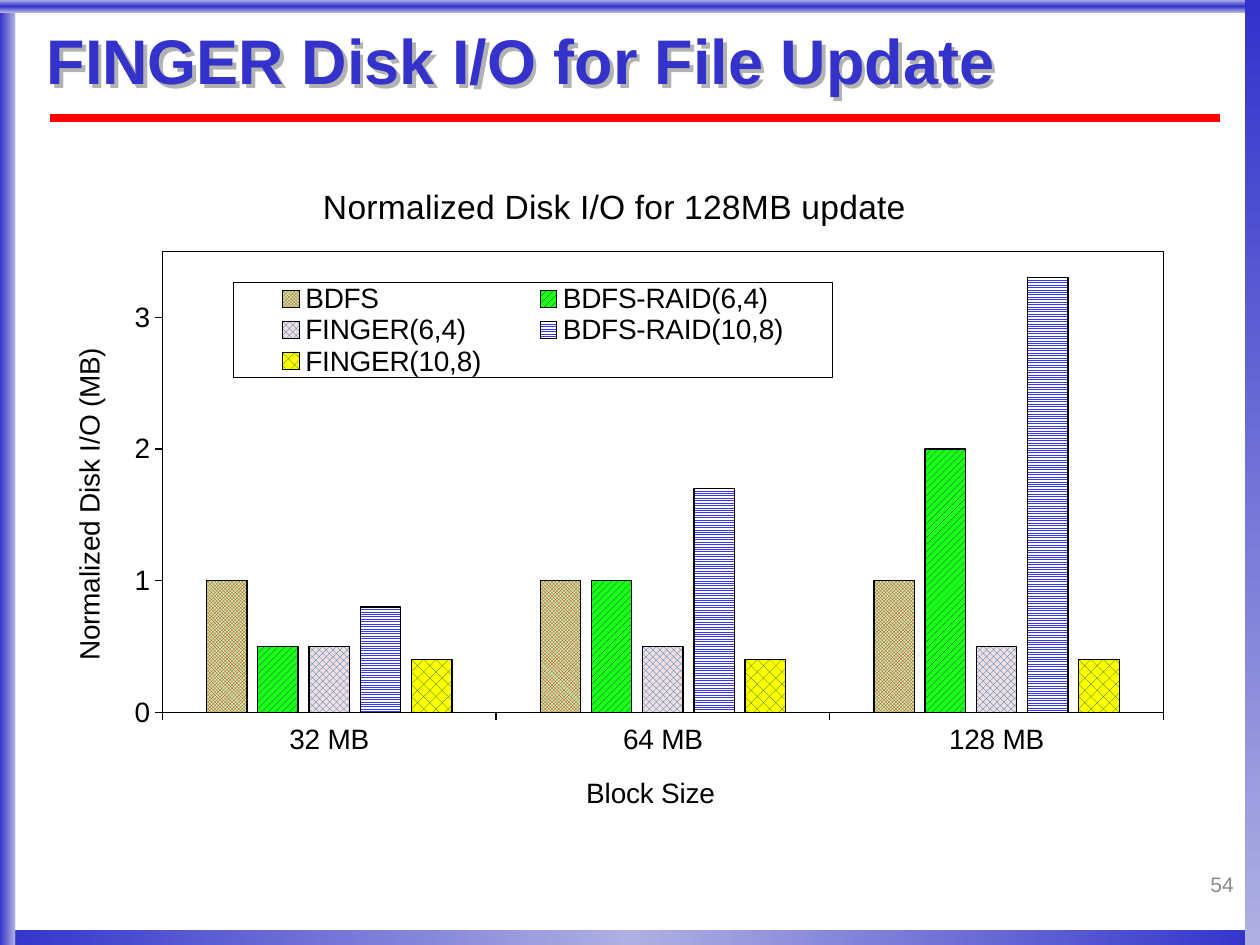
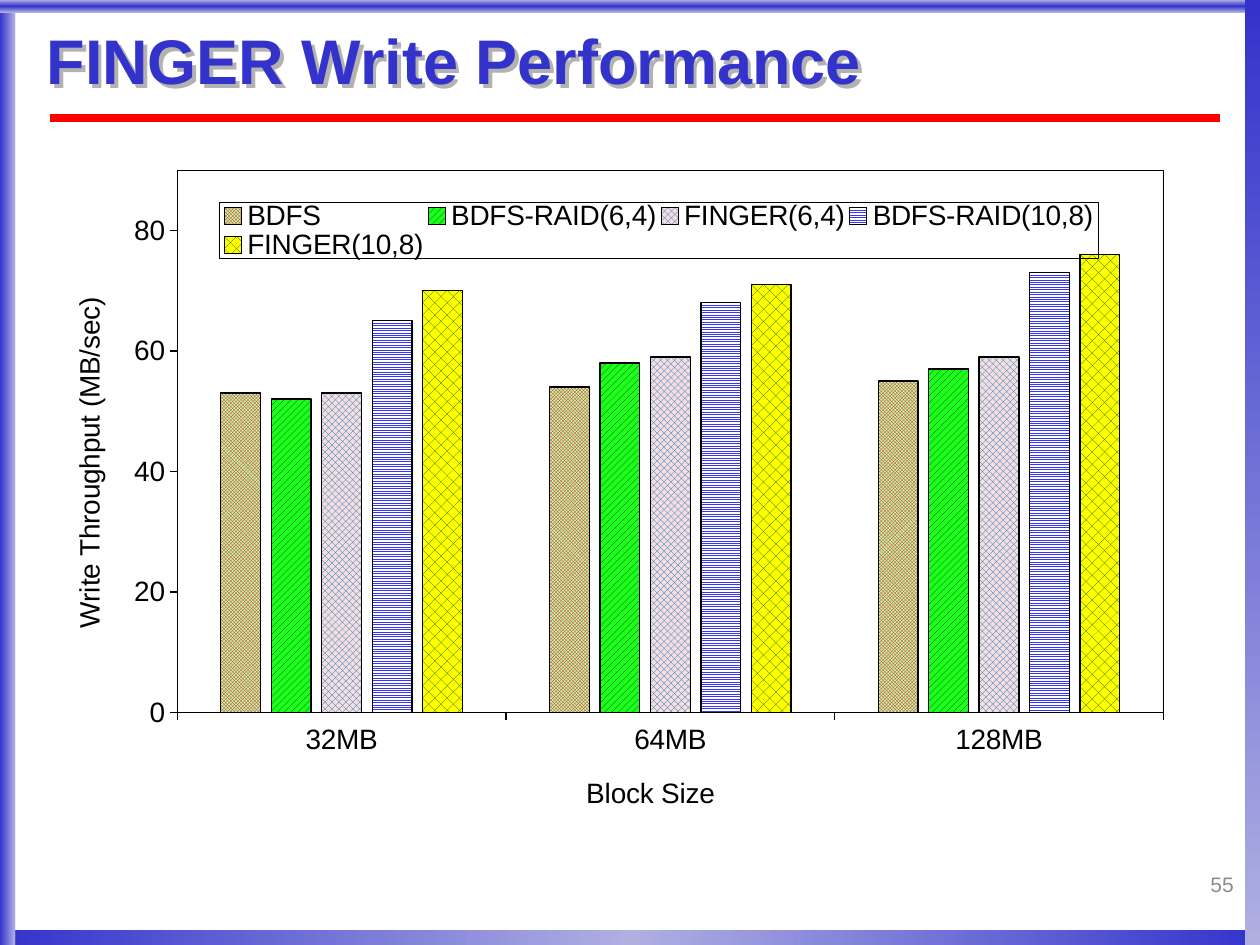
from collections import namedtuple

from pptx import Presentation
from pptx.chart.data import CategoryChartData
from pptx.dml.color import RGBColor
from pptx.enum.chart import XL_CHART_TYPE, XL_LEGEND_POSITION, XL_TICK_MARK
from pptx.enum.dml import MSO_PATTERN
from pptx.enum.shapes import MSO_CONNECTOR, MSO_SHAPE
from pptx.enum.text import MSO_ANCHOR, MSO_AUTO_SIZE, PP_ALIGN
from pptx.oxml import parse_xml
from pptx.oxml.ns import nsdecls, qn
from pptx.util import Inches, Pt

COLUMN_CHART = XL_CHART_TYPE.COLUMN_CLUSTERED
LEGEND_BOTTOM = XL_LEGEND_POSITION.BOTTOM
TICK_OUTSIDE, TICK_NONE = XL_TICK_MARK.OUTSIDE, XL_TICK_MARK.NONE
RECTANGLE, STRAIGHT = MSO_SHAPE.RECTANGLE, MSO_CONNECTOR.STRAIGHT
MIDDLE, NO_FIT = MSO_ANCHOR.MIDDLE, MSO_AUTO_SIZE.NONE
LEFT, RIGHT = PP_ALIGN.LEFT, PP_ALIGN.RIGHT

FONT = "Arial"
BLUE, PALE, RED = "3333CC", "AFAFE2", "FF0000"
BLACK, GREY, SHADOW = "000000", "8C8C8C", "B2B2B2"
COLUMNS, ROWS = 100, 75

Box = namedtuple("Box", "left top width height")
TITLE_BOX = Box(3.7, 1.45, 93, 7.4)
NUMBER_BOX = Box(76.4, 68.3, 22.5, 4)
CHART_BOX = Box(3.45, 12.4, 90.8, 58.1)
RULE_BOX = Box(4, 9.4, 92.8, 0)
BANDS = [
    (Box(0, 73.8, 100, 1.3), [BLUE, PALE, BLUE], 0),
    (Box(0, 0, 1.2, 75), [BLUE, PALE], 0),
    (Box(0, 0, 100, 1), [PALE, BLUE, PALE], 90),
    (Box(98.8, 0, 1.2, 75), [BLUE, PALE], 90),
]

SERIES_STYLES = {
    "BDFS": (MSO_PATTERN.SMALL_CHECKER_BOARD, "FF0000", "B0FFB0"),
    "BDFS-RAID(6,4)": (MSO_PATTERN.WIDE_UPWARD_DIAGONAL, "262626", "1AFF1A"),
    "FINGER(6,4)": (MSO_PATTERN.LARGE_CHECKER_BOARD, "0070C0", "F7DDDD"),
    "BDFS-RAID(10,8)": (MSO_PATTERN.NARROW_HORIZONTAL, "3535FB", "FFFFFF"),
    "FINGER(10,8)": (MSO_PATTERN.PERCENT_30, "006000", "FFFF00"),
}

SLIDES = [
    {
        "title": "FINGER Disk I/O for File Update",
        "number": "54",
        "chart_title": "Normalized Disk I/O for 128MB update",
        "value_title": "Normalized Disk I/O (MB)",
        "value_title_at": (2, 25.5),
        "categories": ["32 MB", "64 MB", "128 MB"],
        "values": [[1, 1, 1], [0.5, 1, 2], [0.5, 0.5, 0.5],
                   [0.8, 1.7, 3.3], [0.4, 0.4, 0.4]],
        "scale": {"minimum_scale": 0, "maximum_scale": 3.5, "major_unit": 1},
        "plot": (10.4, 13, 87.5, 63),
        "legend": (16.6, 17.3, 52.4, 12.9),
    },
    {
        "title": "FINGER Write Performance",
        "number": "55",
        "chart_title": None,
        "value_title": "Write Throughput (MB/sec)",
        "value_title_at": (2, 18.6),
        "categories": ["32MB", "64MB", "128MB"],
        "values": [[53, 54, 55], [52, 58, 57], [53, 59, 59],
                   [65, 68, 73], [70, 71, 76]],
        "scale": {"minimum_scale": 0, "maximum_scale": 90, "major_unit": 20},
        "plot": (11.7, 1.9, 86.2, 74.1),
        "legend": (15.4, 6.1, 76.8, 7.7),
    },
]


def color(value):
    return RGBColor.from_string(value)


def apply(target, values):
    for name, value in values.items():
        setattr(target, name, value)


def on_grid(sheet, box):
    column, row = sheet.width / COLUMNS, sheet.height / ROWS
    return Box(
        int(sheet.left + box.left * column), int(sheet.top + box.top * row),
        int(box.width * column), int(box.height * row),
    )


def style_font(font, size, value=BLACK, bold=False):
    apply(font, {"name": FONT, "size": Pt(size), "bold": bold})
    font.color.rgb = color(value)


def style_line(line, value=BLACK, width=0.75):
    line.color.rgb = color(value)
    line.width = Pt(width)


def write_text(frame, text, frame_format, para_format, size, value, bold=False):
    apply(frame, frame_format)
    para = frame.paragraphs[0]
    apply(para, para_format)
    span = para.add_run()
    span.text = text
    style_font(span.font, size, value, bold)


def add_band(page, box, stops, angle):
    band = page.shapes.add_shape(RECTANGLE, *box)
    band.shadow.inherit = False
    band.line.fill.background()
    band.fill.gradient()
    gradient = band.element.spPr.find(qn("a:gradFill"))
    stop_list = gradient.find(qn("a:gsLst"))
    for stop in list(stop_list):
        stop_list.remove(stop)
    for index, value in enumerate(stops):
        position = 100000 * index // (len(stops) - 1)
        stop_list.append(parse_xml(
            f'<a:gs {nsdecls("a")} pos="{position}"><a:srgbClr val="{value}"/></a:gs>'
        ))
    gradient.find(qn("a:lin")).set("ang", str(angle * 60000))
    return band


def add_rule(page, box):
    right, bottom = box.left + box.width, box.top + box.height
    rule = page.shapes.add_connector(STRAIGHT, box.left, box.top, right, bottom)
    style_line(rule.line, RED, 4.5)
    rule.element.spPr.append(parse_xml(f'<a:effectLst {nsdecls("a")}/>'))
    return rule


def frame_layout(layout, page, sheet):
    parts = [add_band(page, on_grid(sheet, box), stops, angle)
             for box, stops, angle in BANDS]
    parts.append(add_rule(page, on_grid(sheet, RULE_BOX)))
    for index, part in enumerate(parts):
        part.element.xpath("./*/p:cNvPr")[0].set("id", str(100 + index))
        layout.shapes.element.insert(2 + index, part.element)


def place_title(page, box, text):
    title = page.shapes.title
    apply(title, box._asdict())
    write_text(
        title.text_frame, text,
        {"margin_left": 0, "margin_top": 0, "margin_right": 0, "margin_bottom": 0,
         "vertical_anchor": MIDDLE, "word_wrap": True, "auto_size": NO_FIT},
        {"alignment": LEFT, "line_spacing": 0.87}, 36, BLUE, True,
    )
    title.fill.background()
    title.element.spPr.append(parse_xml(
        f'<a:effectLst {nsdecls("a")}><a:outerShdw dist="38100" dir="2700000">'
        f'<a:srgbClr val="{SHADOW}"/></a:outerShdw></a:effectLst>'
    ))


def add_number(page, box, text):
    number = page.shapes.add_textbox(*box)
    write_text(number.text_frame, text,
               {"vertical_anchor": MIDDLE, "word_wrap": True},
               {"alignment": RIGHT, "line_spacing": 0.85}, 12, GREY)


def set_layout(element, index, percents, inner=False):
    for old in element.findall(qn("c:layout")):
        element.remove(old)
    target = '<c:layoutTarget val="inner"/>' if inner else ""
    modes = '<c:xMode val="edge"/><c:yMode val="edge"/>'
    sizes = "".join(f'<c:{name} val="{percent / 100:.3f}"/>'
                    for name, percent in zip("xywh", percents))
    element.insert(index, parse_xml(
        f'<c:layout {nsdecls("c")}><c:manualLayout>{target}{modes}{sizes}'
        "</c:manualLayout></c:layout>"
    ))


def outline():
    return parse_xml(
        f'<c:spPr {nsdecls("c", "a")}><a:noFill/><a:ln w="9525"><a:solidFill>'
        f'<a:srgbClr val="{BLACK}"/></a:solidFill></a:ln></c:spPr>'
    )


def write_chart_title(owner, element, text, size, position, rotation=0):
    owner.has_title = True
    title_part = owner.chart_title if hasattr(owner, "chart_title") else owner.axis_title
    write_text(title_part.text_frame, text, {}, {}, size, BLACK)
    title = element.find(qn("c:title"))
    body = title.xpath(".//a:bodyPr")[0]
    body.set("rot", str(rotation * 60000))
    body.set("vert", "horz")
    set_layout(title, 1, position)


def style_series(series):
    pattern, front, back = SERIES_STYLES[series.name]
    series.invert_if_negative = False
    fill = series.format.fill
    fill.patterned()
    fill.pattern = pattern
    fill.fore_color.rgb = color(front)
    fill.back_color.rgb = color(back)
    style_line(series.format.line)


def style_axis(axis):
    apply(axis, {"has_major_gridlines": False, "major_tick_mark": TICK_OUTSIDE,
                 "minor_tick_mark": TICK_NONE})
    style_font(axis.tick_labels.font, 16)
    style_line(axis.format.line)


def add_column_chart(page, box, content):
    data = CategoryChartData()
    data.categories = content["categories"]
    for name, values in zip(SERIES_STYLES, content["values"]):
        data.add_series(name, values)
    chart = page.shapes.add_chart(COLUMN_CHART, *box, data).chart
    style_font(chart.font, 16)
    root = chart.element.find(qn("c:chart"))
    plot_area = root.find(qn("c:plotArea"))
    chart.has_title = False
    if content["chart_title"]:
        write_chart_title(chart, root, content["chart_title"], 19.2, (23.9, 3))

    plot = chart.plots[0]
    apply(plot, {"gap_width": 219, "overlap": -27, "vary_by_categories": False})
    for series in plot.series:
        style_series(series)

    for axis in (chart.category_axis, chart.value_axis):
        style_axis(axis)
    apply(chart.value_axis, content["scale"])
    write_chart_title(chart.category_axis, plot_area.find(qn("c:catAx")),
                      "Block Size", 16, (47, 83.8))
    write_chart_title(chart.value_axis, plot_area.find(qn("c:valAx")),
                      content["value_title"], 16, content["value_title_at"], -90)
    set_layout(plot_area, 0, content["plot"], inner=True)
    plot_area.append(outline())

    chart.has_legend = True
    apply(chart.legend, {"position": LEGEND_BOTTOM, "include_in_layout": False})
    style_font(chart.legend.font, 16)
    legend = root.find(qn("c:legend"))
    set_layout(legend, 1, content["legend"])
    legend.find(qn("c:overlay")).addnext(outline())


def build_chart_slide(page, sheet, content):
    place_title(page, on_grid(sheet, TITLE_BOX), content["title"])
    add_number(page, on_grid(sheet, NUMBER_BOX), content["number"])
    add_column_chart(page, on_grid(sheet, CHART_BOX), content)


def main():
    deck = Presentation()
    apply(deck, {"slide_width": Inches(10), "slide_height": Inches(7.5)})
    sheet = Box(0, 0, deck.slide_width, deck.slide_height)
    layout = deck.slide_layouts[5]
    pages = [deck.slides.add_slide(layout) for _ in SLIDES]
    frame_layout(layout, pages[0], sheet)
    for page, content in zip(pages, SLIDES):
        build_chart_slide(page, sheet, content)
    deck.save("out.pptx")


if __name__ == "__main__":
    main()
